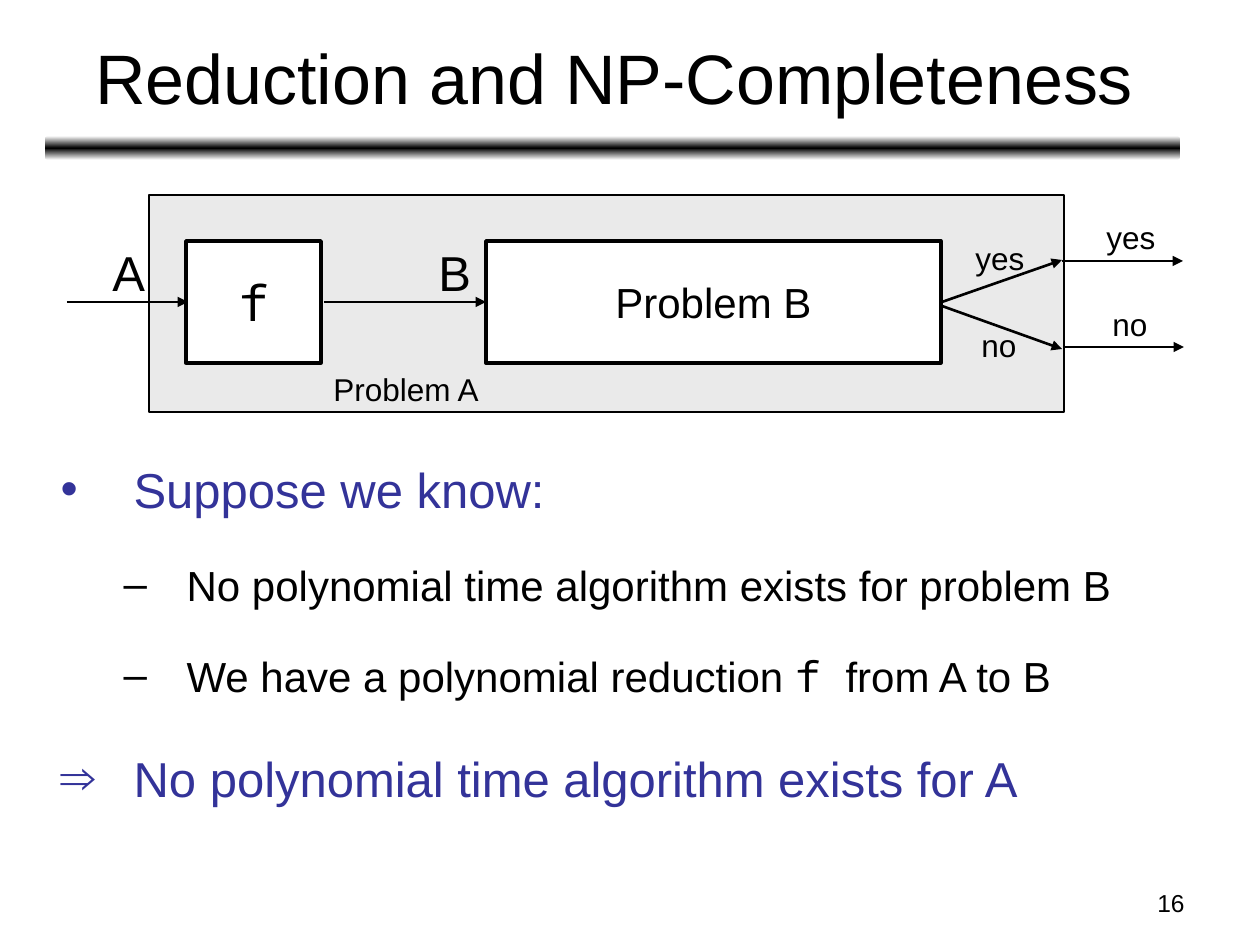
from lxml.etree import SubElement
from pptx import Presentation
from pptx.dml.color import RGBColor
from pptx.enum.shapes import MSO_CONNECTOR, MSO_SHAPE
from pptx.enum.text import MSO_ANCHOR, MSO_AUTO_SIZE, PP_ALIGN
from pptx.oxml.ns import qn
from pptx.util import Emu, Pt

INCH_PX = 126
BLACK, WHITE, GREY, BLUE = "000000", "FFFFFF", "EAEAEA", "333399"
SANS, MONO = "Arial", "Noto Sans Mono"


def px(length):
    """Turn px into EMU."""
    return Emu(round(length * 914400 / INCH_PX))


def rgb(color):
    """Turn a hex string into a colour."""
    return RGBColor.from_string(color)


def write(paragraph, text, size=18, color=BLACK, font=SANS, align=None):
    """Append a formatted run to a paragraph."""
    run = paragraph.add_run()
    run.text = text
    run.font.size = Pt(size)
    run.font.name = font
    run.font.color.rgb = rgb(color)
    if align is not None:
        paragraph.alignment = align


def place(part, left, top, width, height):
    """Move and resize a part."""
    part.left, part.top = px(left), px(top)
    part.width, part.height = px(width), px(height)


def add_label(slide, left, top, width, height, text, wrap=False, **style):
    """Add a text box holding one line."""
    label = slide.shapes.add_textbox(px(left), px(top), px(width), px(height))
    label.text_frame.word_wrap = wrap
    write(label.text_frame.paragraphs[0], text, **style)


def add_box(slide, left, top, width, height, fill, weight, text="", **style):
    """Add an outlined rectangle with an optional centred caption."""
    box = slide.shapes.add_shape(
        MSO_SHAPE.RECTANGLE, px(left), px(top), px(width), px(height))
    box.shadow.inherit = False
    box.fill.solid()
    box.fill.fore_color.rgb = rgb(fill)
    box.line.color.rgb = rgb(BLACK)
    box.line.width = Pt(weight)
    if text:
        box.text_frame.word_wrap = False
        box.text_frame.vertical_anchor = MSO_ANCHOR.MIDDLE
        write(box.text_frame.paragraphs[0], text, align=PP_ALIGN.CENTER, **style)


def add_arrow(slide, start_x, start_y, end_x, end_y):
    """Add a straight line with an arrowhead at its end."""
    arrow = slide.shapes.add_connector(
        MSO_CONNECTOR.STRAIGHT, px(start_x), px(start_y), px(end_x), px(end_y))
    arrow.line.color.rgb = rgb(BLACK)
    arrow.line.width = Pt(1.5)
    SubElement(arrow.line._get_or_add_ln(), qn("a:tailEnd"), type="triangle")
    SubElement(arrow._element.spPr, qn("a:effectLst"))


def add_header(slide, left, top, width, height):
    """Fill the title and draw the gradient bar under it."""
    title = slide.shapes.title
    place(title, left, top, width, height)
    title.text_frame.auto_size = MSO_AUTO_SIZE.NONE
    title.text_frame.vertical_anchor = MSO_ANCHOR.MIDDLE
    write(title.text_frame.paragraphs[0], "Reduction and NP-Completeness",
          size=40, align=PP_ALIGN.CENTER)

    bar = slide.shapes.add_shape(
        MSO_SHAPE.ROUNDED_RECTANGLE,
        px(left - 2), px(top + 122), px(width + 1), px(24))
    bar.shadow.inherit = False
    bar.line.fill.background()
    bar.fill.gradient()
    bar.fill.gradient_angle = 90
    stops = bar.fill._fill._gradFill.find(qn("a:gsLst"))
    stops.clear()
    for position, color in ((0, WHITE), (50000, BLACK), (100000, WHITE)):
        stop = SubElement(stops, qn("a:gs"), pos=str(position))
        SubElement(stop, qn("a:srgbClr"), val=color)


def add_reduction(slide, left, top, width, height):
    """Draw problem A as the function f feeding problem B."""
    add_box(slide, left, top, width, height, GREY, 0.75)
    inner_top, inner_height = top + 46, 122
    add_box(slide, left + 37, inner_top, 135, inner_height, WHITE, 2,
            "f", size=28, font=MONO)
    add_box(slide, left + 337, inner_top, 455, inner_height, WHITE, 2,
            "Problem B", size=24)

    arrows = (
        (-82, 107, 39, 107), (175, 107, 337, 107),
        (793, 107, 913, 65), (793, 111, 913, 154),
        (913, 66, 1034, 66), (914, 152, 1035, 152),
    )
    for start_x, start_y, end_x, end_y in arrows:
        add_arrow(slide, left + start_x, top + start_y, left + end_x, top + end_y)

    for text, x in (("A", -49), ("B", 277)):
        add_label(slide, left + x, top + 41, 58, 72, text, size=28)
    for x, y in ((814, 38), (945, 17)):
        add_label(slide, left + x, top + y, 74, 50, "yes")
        add_label(slide, left + x + 6, top + y + 87, 60, 50, "no")
    add_label(slide, left + 172, top + 169, 171, 50, "Problem A")


def set_bullet(paragraph, mark, color, margin, hanging):
    """Give a paragraph a coloured bullet and a hanging indent."""
    properties = paragraph._p.get_or_add_pPr()
    properties.set("marL", str(px(margin)))
    properties.set("indent", str(-px(hanging)))
    bullet_color = SubElement(properties, qn("a:buClr"))
    SubElement(bullet_color, qn("a:srgbClr"), val=color)
    SubElement(properties, qn("a:buFont"), typeface=SANS)
    SubElement(properties, qn("a:buChar"), char=mark)


def add_argument(slide, left, top, width, height):
    """Fill the body with the assumptions and their conclusion."""
    body = slide.placeholders[1]
    place(body, left, top, width, height)
    frame = body.text_frame
    frame.auto_size = MSO_AUTO_SIZE.NONE
    points = (
        (0, "•", [("Suppose we know:", SANS)]),
        (1, "–", [("No polynomial time algorithm exists for problem B", SANS)]),
        (1, "–", [("We have a polynomial reduction ", SANS), ("f ", MONO),
                  ("from A to B", SANS)]),
        (0, "⇒", [("No polynomial time algorithm exists for A", SANS)]),
    )
    levels = ((28, BLUE, 7, 73, 73), (24, BLACK, 6, 126, 63))
    for index, (level, mark, phrases) in enumerate(points):
        size, color, space, margin, hanging = levels[level]
        point = frame.add_paragraph() if index else frame.paragraphs[0]
        point.level = level
        point.line_spacing = 1.6
        point.space_before = Pt(space)
        set_bullet(point, mark, color, margin, hanging)
        for text, font in phrases:
            write(point, text, size=size, color=color, font=font)


def main():
    """Build the slide and save it."""
    deck = Presentation()
    deck.slide_width, deck.slide_height = px(1260), px(945)
    slide = deck.slides.add_slide(deck.slide_layouts[1])
    add_header(slide, 47, 14, 1134, 125)
    add_reduction(slide, 149, 195, 915, 217)
    add_argument(slide, 48, 418, 1134, 493)
    add_label(slide, 903, 882, 294, 44, "16", wrap=True, size=14,
              align=PP_ALIGN.RIGHT)
    deck.save("out.pptx")


if __name__ == "__main__":
    main()
